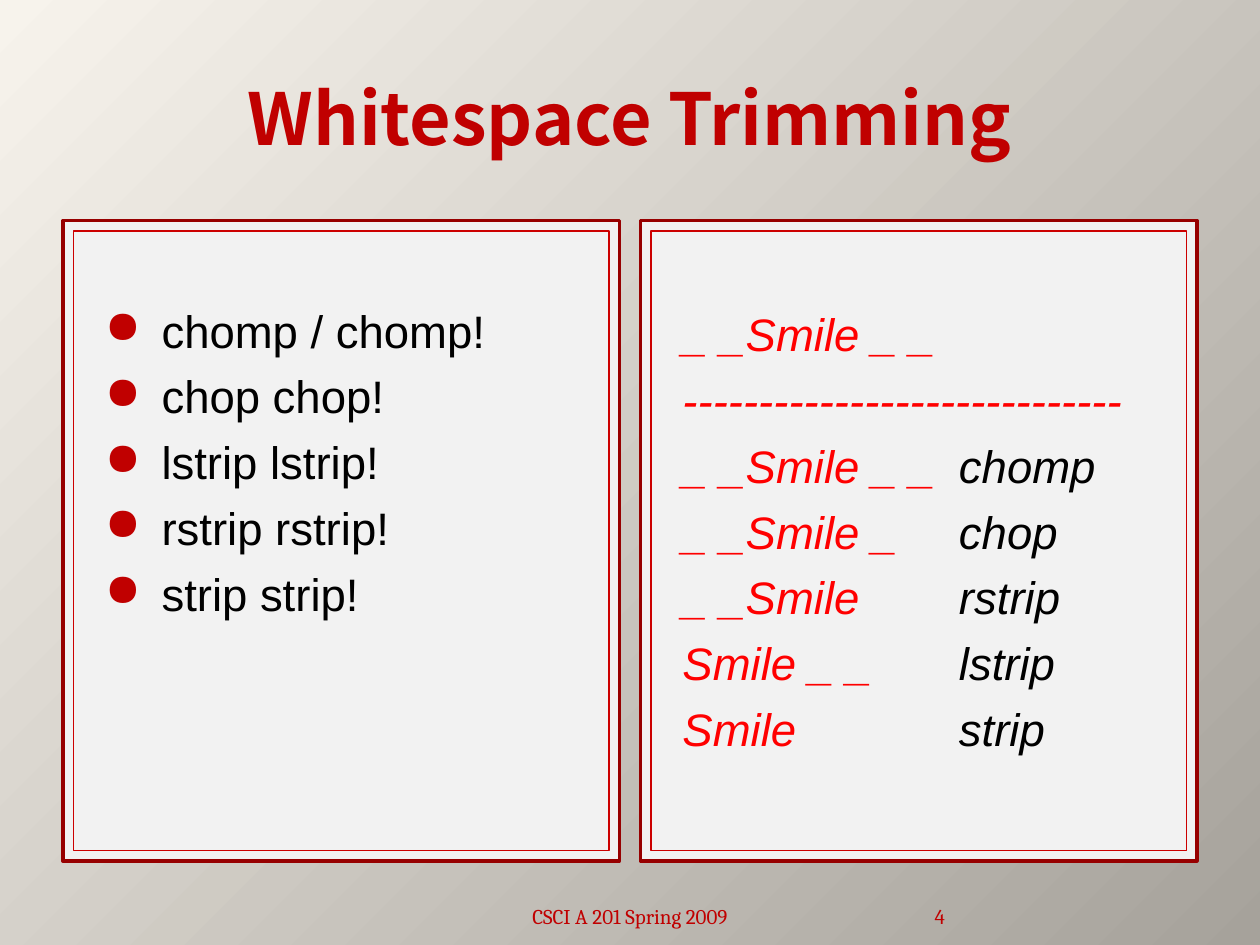
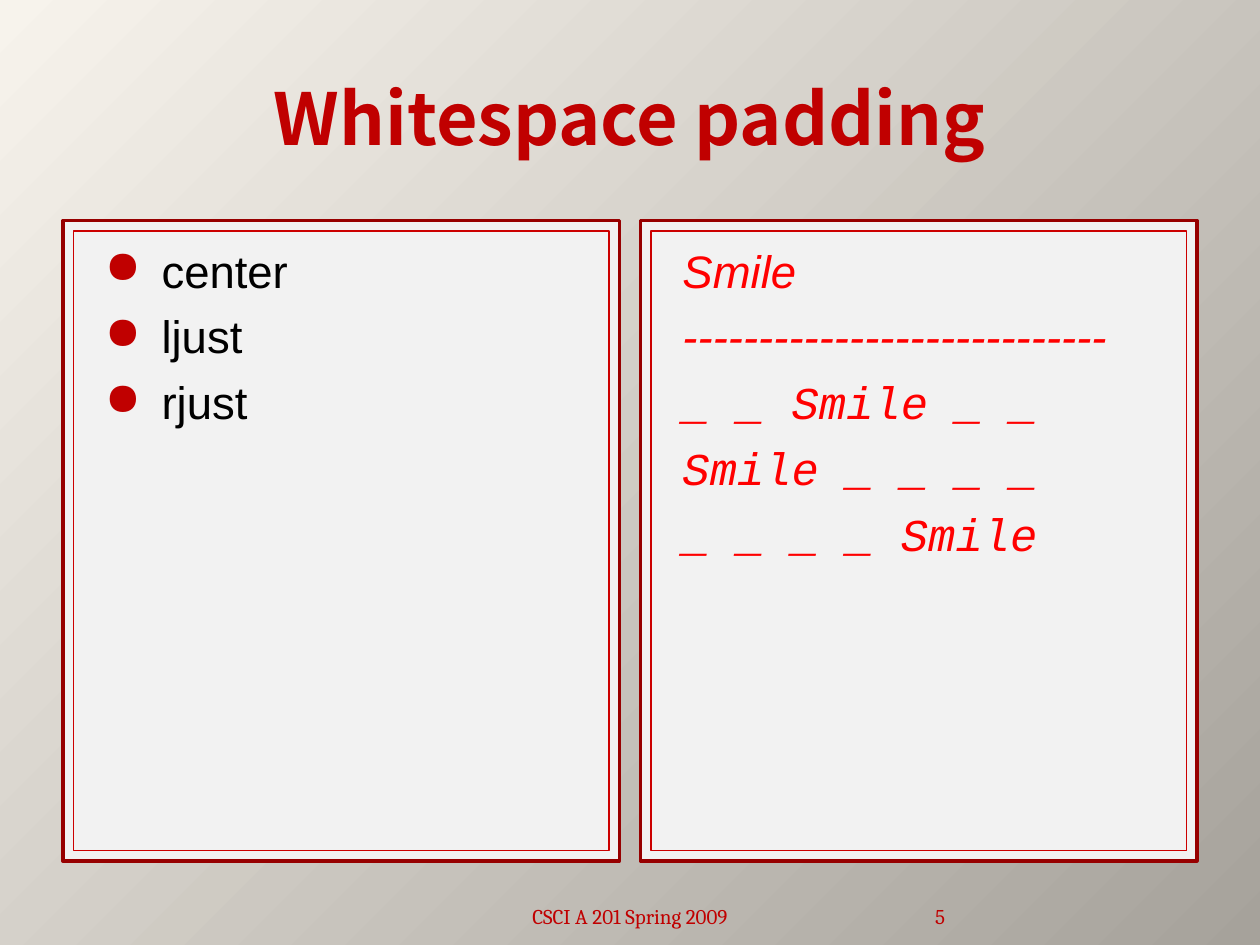
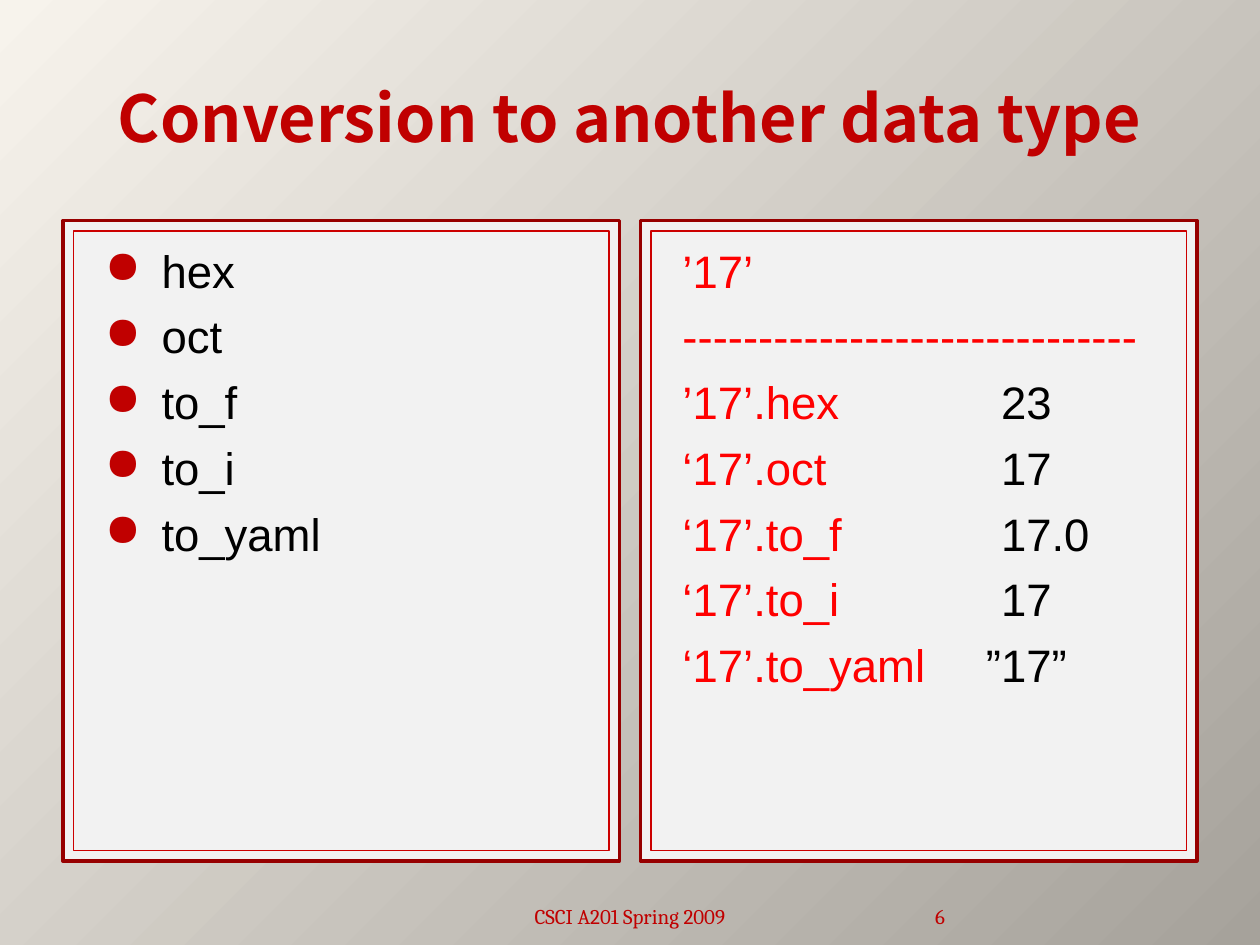
from lxml import etree
from pptx import Presentation
from pptx import util as u
from pptx.dml.color import RGBColor
from pptx.enum import shapes, text
from pptx.oxml.ns import qn

Pt = u.Pt
RED, BRIGHT_RED, BLACK = "C00000", "FF0000", "000000"
PANEL_FILL, FRAME, INNER_FRAME = "F2F2F2", "970000", "CC0000"
TITLE_FONT, BODY_FONT, FOOTER_FONT = "Noto Sans CJK SC", "Arial", "Cambria"
BODY_SIZE = 26
PANEL_LEFTS = (36, 366)
PANEL_TOP, PANEL_WIDTH, PANEL_HEIGHT, FRAME_GAP = 126, 318, 366, 6


def color(value):
    return RGBColor.from_string(value)


class Deck:
    def __init__(self):
        self.deck = Presentation()
        self.deck.slide_width, self.deck.slide_height = Pt(720), Pt(540)
        self.page = None

    def start_page(self, title, footer, number, title_size=41):
        """Add a page with background, title, panel frames and footer."""
        self.page = self.deck.slides.add_slide(self.deck.slide_layouts[6])
        fill = self.page.background.fill
        fill.gradient()
        fill.gradient_angle = 315
        for stop, value in zip(fill.gradient_stops, ("F7F3EC", "A6A29B")):
            stop.color.rgb = color(value)
        for left in PANEL_LEFTS:
            self.rectangle(left, PANEL_TOP, PANEL_WIDTH, PANEL_HEIGHT, FRAME, 2)
        self.label(title, 36, 21.6, 648, 90, TITLE_FONT, title_size,
                   bold=True, anchor=text.MSO_ANCHOR.MIDDLE)
        self.label(footer, 246, 505.4, 228, 28.8, FOOTER_FONT, 12)
        self.label(str(number), 480, 505.4, 60, 28.8, FOOTER_FONT, 12,
                   align=text.PP_ALIGN.RIGHT, side=0)

    def rectangle(self, left, top, width, height, line, weight):
        box = self.page.shapes.add_shape(shapes.MSO_SHAPE.RECTANGLE, Pt(left),
                                         Pt(top), Pt(width), Pt(height))
        box.shadow.inherit = False
        box.fill.solid()
        box.fill.fore_color.rgb = color(PANEL_FILL)
        box.line.color.rgb = color(line)
        box.line.width = Pt(weight)
        return box

    def style(self, span, font, size, value, bold=False, italic=False):
        span.font.name, span.font.size = font, Pt(size)
        span.font.bold, span.font.italic = bold, italic
        span.font.color.rgb = color(value)

    def label(self, words, left, top, width, height, font, size, bold=False,
              anchor=text.MSO_ANCHOR.BOTTOM, align=text.PP_ALIGN.CENTER, side=7.2):
        box = self.page.shapes.add_textbox(Pt(left), Pt(top), Pt(width), Pt(height))
        frame = box.text_frame
        frame.word_wrap, frame.vertical_anchor = True, anchor
        frame.margin_left = frame.margin_right = Pt(side)
        frame.text = words
        para = frame.paragraphs[0]
        para.alignment = align
        self.style(para.runs[0], font, size, RED, bold)

    def panel(self, column, inset_top, inset_left):
        """Add the inner frame of a column and return its text frame."""
        box = self.rectangle(PANEL_LEFTS[column] + FRAME_GAP, PANEL_TOP + FRAME_GAP,
                             PANEL_WIDTH - 2 * FRAME_GAP,
                             PANEL_HEIGHT - 2 * FRAME_GAP, INNER_FRAME, 0.75)
        frame = box.text_frame
        frame.word_wrap, frame.vertical_anchor = True, text.MSO_ANCHOR.TOP
        frame.margin_top, frame.margin_left = Pt(inset_top), Pt(inset_left)
        return frame

    def paragraphs(self, frame, lines):
        """Fill a frame with evenly spaced paragraphs and yield each one."""
        for index, line in enumerate(lines):
            para = frame.add_paragraph() if index else frame.paragraphs[0]
            para.text = line
            para.alignment = text.PP_ALIGN.LEFT
            if index:
                para.space_before = Pt(6.4)
            yield para

    def bullets(self, lines, inset_top=6.6):
        frame = self.panel(0, inset_top, 7.2)
        for para in self.paragraphs(frame, lines):
            props = para._p.get_or_add_pPr()
            props.set("marL", str(Pt(43.2)))
            props.set("indent", str(Pt(-32.4)))
            bullet_color = etree.SubElement(props, qn("a:buClr"))
            etree.SubElement(bullet_color, qn("a:srgbClr"), val=RED)
            etree.SubElement(props, qn("a:buChar"), char="●")
            self.style(para.runs[0], BODY_FONT, BODY_SIZE, BLACK)

    def examples(self, rows, tab=0, inset_top=6.6, italic=True, mono_from=None):
        """Rows are (expression, result); a quoted result hangs left of the tab."""
        frame = self.panel(1, inset_top, 18)
        lines = [code + "\t" if result else code for code, result in rows]
        for index, para in enumerate(self.paragraphs(frame, lines)):
            mono = mono_from is not None and index >= mono_from
            font = "Courier New" if mono else BODY_FONT
            result = rows[index][1]
            if result:
                stop = tab - 8.6 if result.startswith("”") else tab
                tabs = etree.SubElement(para._p.get_or_add_pPr(), qn("a:tabLst"))
                etree.SubElement(tabs, qn("a:tab"), pos=str(Pt(stop)), algn="l")
                span = para.add_run()
                span.text = result
            for span, value in zip(para.runs, (BRIGHT_RED, BLACK)):
                self.style(span, font, BODY_SIZE, value, italic=italic)


def main():
    show = Deck()

    # Trimming
    show.start_page("Whitespace Trimming", "CSCI A 201 Spring 2009", 4)
    show.bullets(["chomp / chomp!", "chop chop!", "lstrip lstrip!",
                  "rstrip rstrip!", "strip strip!"], inset_top=40.9)
    show.examples([("_ _Smile _ _", ""), ("-" * 29, ""),
                   ("_ _Smile _ _", "chomp"), ("_ _Smile _", "chop"),
                   ("_ _Smile", "rstrip"), ("Smile _ _", "lstrip"),
                   ("Smile", "strip")], tab=158, inset_top=43)

    # Padding
    show.start_page("Whitespace padding", "CSCI A 201 Spring 2009", 5)
    show.bullets(["center", "ljust", "rjust"])
    show.examples([("Smile", ""), ("-" * 28, ""), ("_ _ Smile _ _", ""),
                   ("Smile _ _ _ _", ""), ("_ _ _ _ Smile", "")], mono_from=2)

    # Conversion
    show.start_page("Conversion to another data type", "CSCI A201 Spring 2009", 6,
                    title_size=36.9)
    show.bullets(["hex", "oct", "to_f", "to_i", "to_yaml"])
    show.examples([("’17’", ""), ("-" * 30, ""), ("’17’.hex", "23"),
                   ("‘17’.oct", "17"), ("‘17’.to_f", "17.0"),
                   ("‘17’.to_i", "17"), ("‘17’.to_yaml", "”17”")],
                  tab=182, italic=False)

    show.deck.save("out.pptx")


if __name__ == "__main__":
    main()
